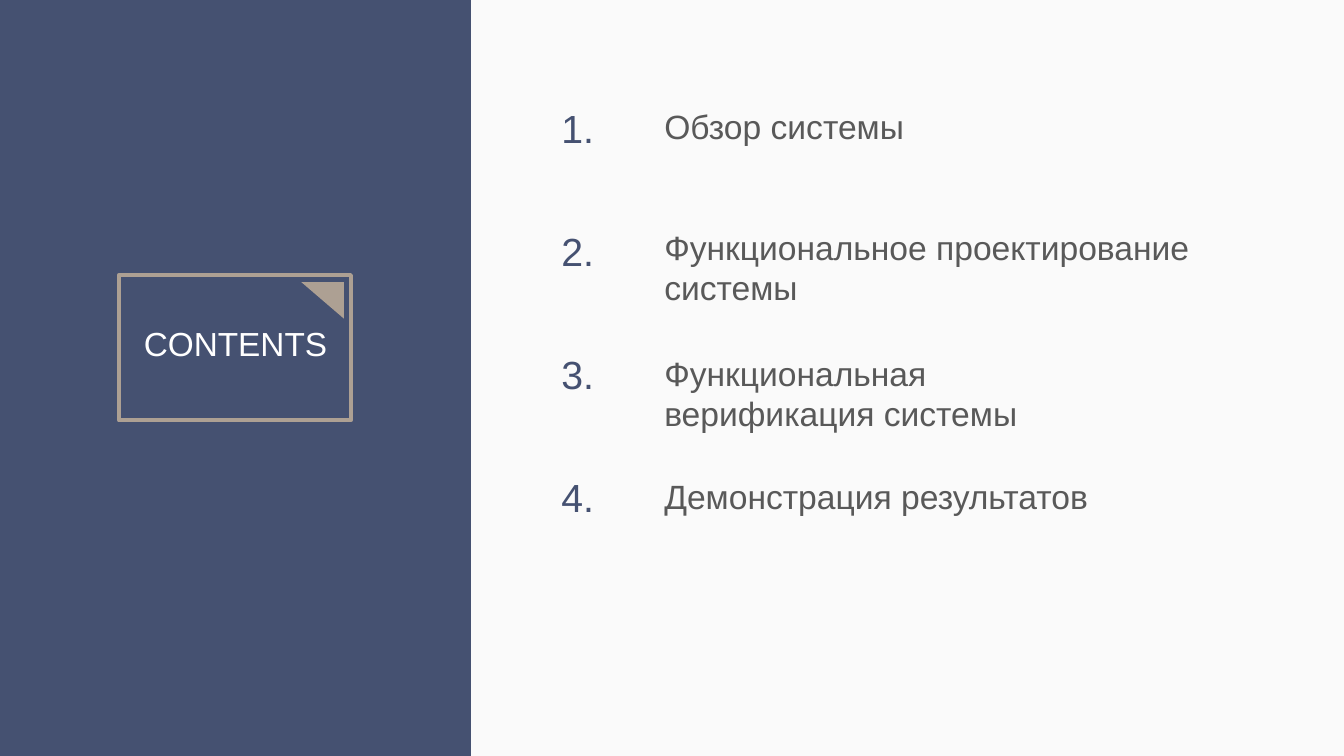
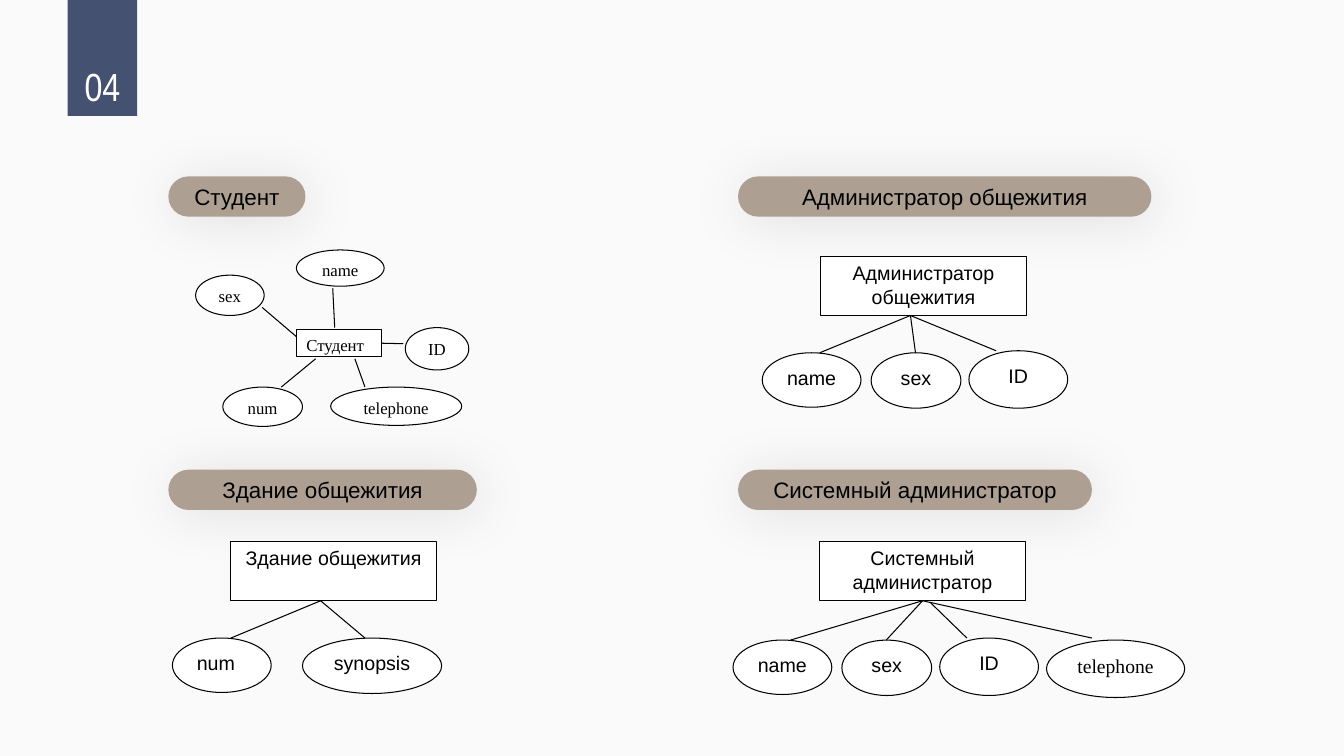
"""Build a contents slide and a slide of four entity diagrams."""
from lxml import etree
from pptx import Presentation
from pptx.dml.color import RGBColor
from pptx.enum.shapes import MSO_CONNECTOR, MSO_SHAPE
from pptx.enum.text import MSO_ANCHOR, PP_ALIGN
from pptx.oxml.ns import qn
from pptx.util import Inches, Pt

RECT, OVAL = MSO_SHAPE.RECTANGLE, MSO_SHAPE.OVAL
PILL, WEDGE = MSO_SHAPE.ROUNDED_RECTANGLE, MSO_SHAPE.ISOSCELES_TRIANGLE
LINE = MSO_CONNECTOR.STRAIGHT
LEFT, MID = PP_ALIGN.LEFT, PP_ALIGN.CENTER
TOP, HALF = MSO_ANCHOR.TOP, MSO_ANCHOR.MIDDLE
NAVY, SAND, GREY, PAPER = "455171", "ADA093", "595959", "FAFAFA"
BLACK, WHITE = "000000", "FFFFFF"
SANS, SLIM, SERIF = "Arial", "Arial Narrow", "Times New Roman"
CELL = 0.1


def paint(fill, tint):
    if tint:
        fill.solid()
        fill.fore_color.rgb = RGBColor.from_string(tint)
    else:
        fill.background()


def put(shapes, kind, x, y, w, h, text="", size=14, ink=BLACK, font=SANS,
        align=LEFT, anchor=TOP, fill=None, edge=None, thick=0.75, wrap=True):
    area = [Inches(n * CELL) for n in (x, y, w, h)]
    if kind is None:
        item = shapes.add_textbox(*area)
    else:
        item = shapes.add_shape(kind, *area)
        item.shadow.inherit = False
        paint(item.fill, fill)
        paint(item.line.fill, edge)
        if edge:
            item.line.width = Pt(thick)
    if text:
        frame = item.text_frame
        frame.word_wrap = wrap
        frame.vertical_anchor = anchor
        frame.text = text
        for para in frame.paragraphs:
            para.alignment = align
            para.font.size = Pt(size)
            para.font.name = font
            paint(para.font.fill, ink)
    return item


deck = Presentation()
deck.slide_width, deck.slide_height = Inches(13.33), Inches(7.5)
slides = []
for _ in range(2):
    slide = deck.slides.add_slide(deck.slide_layouts[6])
    paint(slide.background.fill, PAPER)
    slides.append(slide.shapes)
index, model = slides

put(index, RECT, 0, 0, 46.7, 75.5, fill=NAVY)
put(index, RECT, 11.8, 27.3, 23, 14.4, edge=SAND, thick=3)
fold = put(index, WEDGE, 29.9, 28, 4.2, 3.6, fill=SAND)
fold.adjustments[0] = 0
fold.rotation = 180
put(index, None, 13.2, 31.6, 20.3, 5.7, "CONTENTS", 23.8, WHITE, align=MID)
topics = [
    (10, "Обзор системы"),
    (22, "Функциональное проектирование системы"),
    (34.5, "Функциональная\nверификация системы"),
    (46.7, "Демонстрация результатов"),
]
for row, (y, topic) in enumerate(topics):
    put(index, None, 54.7, 9.9 + 12.2 * row, 9.2, 7, f"{row + 1}.", 28, NAVY)
    put(index, None, 64.9, y, 62, 6.2, topic, 24, GREY)

put(model, RECT, 6.7, 0, 6.9, 11.5, fill=NAVY)
put(model, None, 6.7, 5.7, 6.9, 5.7, "04", 28, WHITE, SLIM, MID)

pills = [
    (16.7, 17.5, 13.6, "Студент"),
    (16.7, 46.6, 30.6, "Здание общежития"),
    (73.2, 17.5, 41, "Администратор общежития"),
    (73.2, 46.6, 35.1, "Системный администратор"),
]
for x, y, w, text in pills:
    pill = put(model, PILL, x, y, w, 4, text, 16, align=MID, anchor=HALF, fill=SAND)
    pill.adjustments[0] = 0.5
    glow = etree.SubElement(
        pill._element.spPr.find(qn("a:effectLst")), qn("a:outerShdw"),
        blurRad=str(Pt(40)), dist=str(Pt(4)), dir=str(45 * 60000),
        algn="ctr", rotWithShape="0")
    tone = etree.SubElement(glow, qn("a:srgbClr"), val=BLACK)
    etree.SubElement(tone, qn("a:alpha"), val="11000")

small = {"size": 12, "font": SERIF}
charts = [
    (("Студент", 29.4, 32.7, 8.4, 2.7), {**small, "align": LEFT}, [
        ("telephone", 32.8, 38.4, 13, 3.8, small),
        ("num", 22.1, 38.4, 7.9, 3.9, small),
        ("sex", 19.4, 27.3, 6.8, 4, small),
        ("name", 29.4, 24.8, 8.7, 3.6, small),
        ("ID", 40.2, 32.5, 6.3, 4.2, small),
    ], [
        (35.2, 35.6, 36.2, 38.4), (37.6, 34.1, 40, 34.1),
        (31.3, 35.6, 27.9, 38.4), (26, 30.5, 29.4, 33.4),
        (33, 28.6, 33.2, 32.5),
    ]),
    (("Администратор общежития", 81.4, 25.4, 20.4, 5.9), {}, [
        ("name", 75.6, 35, 9.8, 5.4, {}),
        ("sex", 86.4, 35, 8.9, 5.5, {}),
        ("ID", 96.1, 34.8, 9.8, 5.7, {}),
    ], [(90.3, 31.3, x, y) for x, y in ((81.3, 35), (90.8, 35), (98.8, 34.8))]),
    (("Системный администратор", 81.3, 53.7, 20.4, 5.9), {}, [
        ("name", 72.7, 63.5, 9.8, 5.4, {}),
        ("sex", 83.5, 63.5, 8.9, 5.5, {}),
        ("ID", 93.2, 63.3, 9.8, 5.7, {}),
        ("telephone", 103.8, 63.5, 13.7, 5.7, {"font": SERIF}),
    ], [
        (91.6, 59.6, 78.4, 63.5), (91.6, 59.6, 87.9, 63.5),
        (92.3, 59.8, 95.9, 63.3), (91.6, 59.6, 108.3, 63.3),
    ]),
    (("Здание общежития", 22.9, 53.7, 20.4, 5.9), {}, [
        ("num", 17.1, 63.3, 9.8, 5.4, {"align": LEFT}),
        ("synopsis", 30, 63.3, 13.8, 5.5, {}),
    ], [(31.8, 59.6, x, 63.3) for x in (22.9, 36.2)]),
]
base = {"align": MID, "fill": WHITE, "edge": BLACK}
for (text, x, y, w, h), style, leaves, links in charts:
    group = model.add_group_shape().shapes
    root = put(group, RECT, x, y, w, h, text, **{**base, **style})
    for label, *area, style in leaves:
        look = {**base, **style}
        put(group, OVAL, *area, label, wrap=look["align"] == LEFT, **look)
    ports = {2: (x + w / 2, y + h), 3: (x + w, y + h / 2)}
    for link in links:
        wire = group.add_connector(LINE, *[Inches(n * CELL) for n in link])
        paint(wire.line.fill, BLACK)
        wire.line.width = Pt(0.75)
        etree.SubElement(wire._element.spPr, qn("a:effectLst"))
        for port, (px, py) in ports.items():
            if max(abs(link[0] - px), abs(link[1] - py)) < 0.25:
                wire.begin_connect(root, port)

deck.save("out.pptx")
